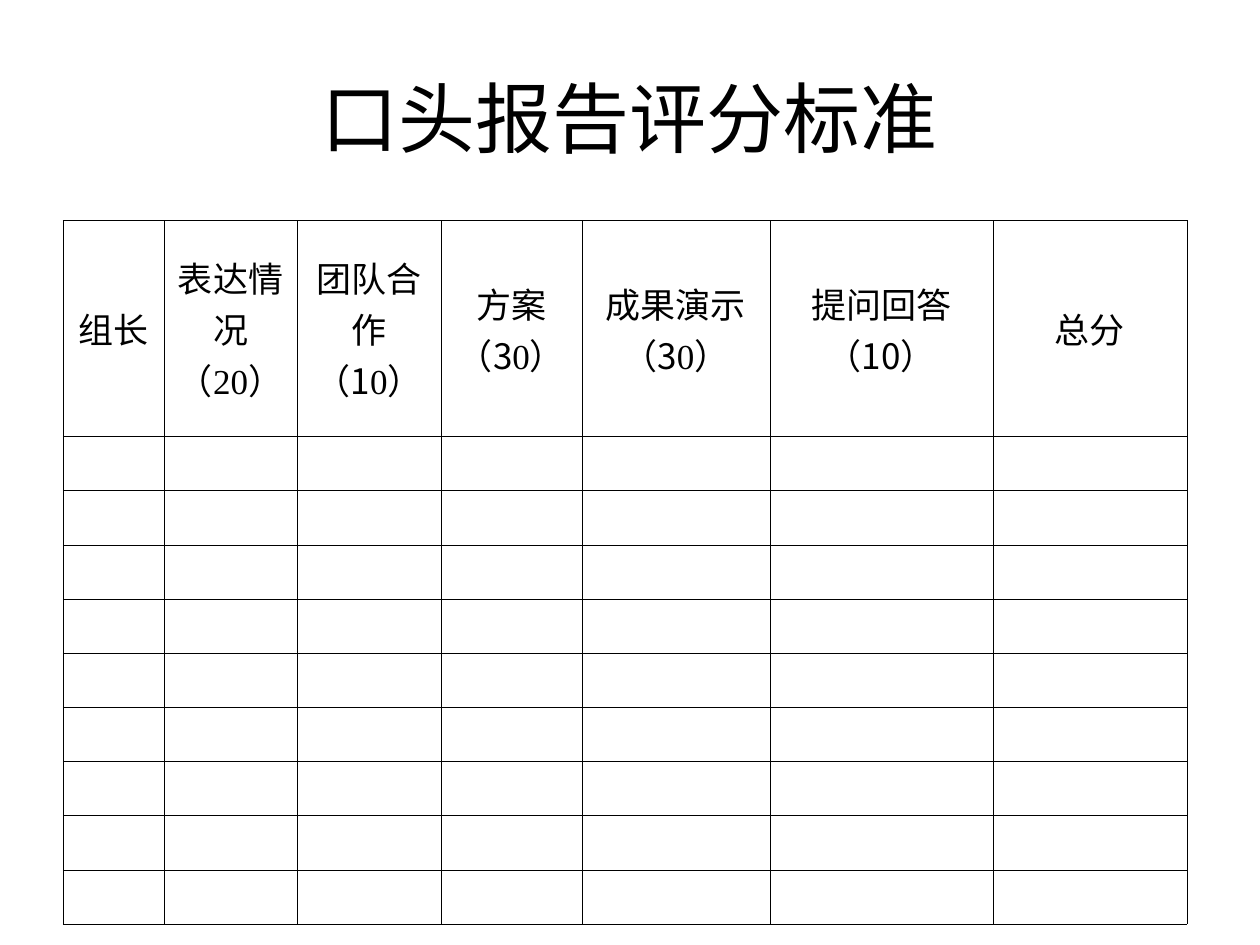
import pptx
import pptx.dml.color
import pptx.enum.text
import pptx.oxml.ns
import pptx.util
from lxml import etree

BLACK = pptx.dml.color.RGBColor(0, 0, 0)
WHITE = pptx.dml.color.RGBColor(255, 255, 255)
CJK = "Noto Sans CJK SC"
SERIF = "Times New Roman"
SANS = "Arial"

COLUMN_WIDTHS = [0.8, 1.06, 1.14, 1.12, 1.49, 1.77, 1.54]
ROW_HEIGHTS = [1.43] + [0.43] * 9
HEADINGS = [
    [("组长", CJK)],
    [("表达情况（", CJK), ("20", SERIF), ("）", CJK)],
    [("团队合作（1", CJK), ("0", SERIF), ("）", CJK)],
    [("方案（3", CJK), ("0", SERIF), ("）", CJK)],
    [("成果演示（3", CJK), ("0", SERIF), ("）", CJK)],
    [("提问回答（10）", CJK)],
    [("总分", CJK)],
]


class ScoreSlide:
    def __init__(self, deck):
        self.width = deck.slide_width
        self.height = deck.slide_height
        self.slide = deck.slides.add_slide(deck.slide_layouts[6])

    def box(self, left, top, width, height):
        return (int(left * self.width), int(top * self.height),
                int(width * self.width), int(height * self.height))

    def fill_paragraph(self, paragraph, pieces, size):
        paragraph.alignment = pptx.enum.text.PP_ALIGN.CENTER
        paragraph.font.size = pptx.util.Pt(size)
        paragraph.font.color.rgb = BLACK
        fonts = {font for _, font in pieces}
        if len(fonts) == 1:
            paragraph.font.name = pieces[0][1]
        for text, font in pieces:
            run = paragraph.add_run()
            run.text = text
            if len(fonts) > 1:
                run.font.name = font
            east_asian = etree.SubElement(run.font._element, pptx.oxml.ns.qn("a:ea"))
            east_asian.set("typeface", CJK)

    def title(self, text, left, top, width, height):
        heading = self.slide.shapes.add_textbox(*self.box(left, top, width, height))
        frame = heading.text_frame
        frame.word_wrap = True
        frame.vertical_anchor = pptx.enum.text.MSO_ANCHOR.MIDDLE
        self.fill_paragraph(frame.paragraphs[0], [(text, SANS)], 44)

    def border(self, cell):
        properties = cell._tc.get_or_add_tcPr()
        for position, side in enumerate(("lnL", "lnR", "lnT", "lnB")):
            line = etree.Element(pptx.oxml.ns.qn(f"a:{side}"), w=str(pptx.util.Pt(0.23)))
            fill = etree.SubElement(line, pptx.oxml.ns.qn("a:solidFill"))
            etree.SubElement(fill, pptx.oxml.ns.qn("a:srgbClr"), val=str(BLACK))
            properties.insert(position, line)

    def score_table(self, headings, widths, heights, left, top):
        area = self.box(left, top, sum(widths) / 10, sum(heights) / 7.5)
        table = self.slide.shapes.add_table(len(heights), len(widths), *area).table
        table.first_row = False
        table.horz_banding = False
        for column, width in zip(table.columns, widths):
            column.width = pptx.util.Inches(width)
        for row, height in zip(table.rows, heights):
            row.height = pptx.util.Inches(height)
        for cell in table.iter_cells():
            cell.vertical_anchor = pptx.enum.text.MSO_ANCHOR.MIDDLE
            cell.fill.solid()
            cell.fill.fore_color.rgb = WHITE
            self.border(cell)
        for cell, pieces in zip(table.rows[0].cells, headings):
            paragraph = cell.text_frame.paragraphs[0]
            paragraph.space_before = pptx.util.Pt(5)
            self.fill_paragraph(paragraph, pieces, 20)


def main():
    deck = pptx.Presentation()
    deck.slide_width = pptx.util.Inches(10)
    deck.slide_height = pptx.util.Inches(7.5)
    scores = ScoreSlide(deck)
    scores.score_table(HEADINGS, COLUMN_WIDTHS, ROW_HEIGHTS, 0.05, 1.75 / 7.5)
    scores.title("口头报告评分标准", 0.05, 0.04, 0.9, 1.25 / 7.5)
    deck.save("out.pptx")


if __name__ == "__main__":
    main()
